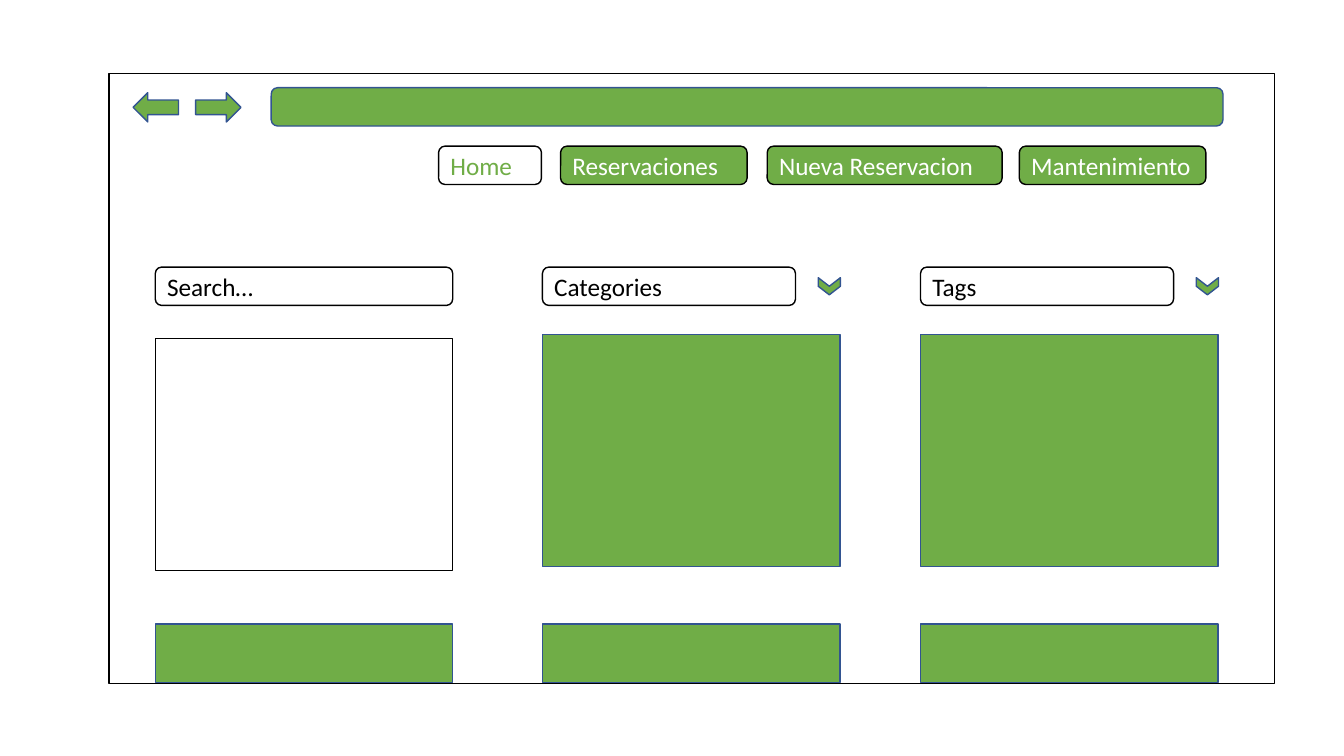
from pptx import Presentation
from pptx.dml.color import RGBColor
from pptx.enum import shapes, text
from pptx.util import Inches, Pt

# Content: label, left, width, active
NAV = [
    ("Reservaciones", 5.56, 1.85, False),
    ("Nueva Reservacion", 7.61, 2.33, False),
    ("Mantenimiento", 10.11, 1.85, False),
    ("Home", 4.35, 1.02, True),
]
# Content: label, field width, has a drop-down chevron
FILTERS = [
    ("Search…", 2.95, False),
    ("Categories", 2.51, True),
    ("Tags", 2.51, True),
]


class Theme:
    green, blue = "70AD47", "325491"
    white, black = "FFFFFF", "000000"
    font, size, line = "Calibri", 18, 1


# Layout
COLUMNS = [1.54, 5.38, 9.13]
CARD_W, CARD_H = 2.95, 2.3
BAR_H = 0.38
SHAPE = shapes.MSO_SHAPE

prs = Presentation()
prs.slide_width, prs.slide_height = Inches(13.33), Inches(7.5)
s = prs.slides.add_slide(prs.slide_layouts[6])


def add_box(kind, x, y, w, h, fill=Theme.green, line=Theme.blue, rotation=0):
    sp = s.shapes.add_shape(kind, Inches(x), Inches(y), Inches(w), Inches(h))
    sp.shadow.inherit = False
    sp.rotation = rotation
    sp.fill.solid()
    sp.fill.fore_color.rgb = RGBColor.from_string(fill)
    sp.line.color.rgb = RGBColor.from_string(line)
    sp.line.width = Pt(Theme.line)
    return sp


def add_field(label, x, y, w, fill, color):
    sp = add_box(SHAPE.ROUNDED_RECTANGLE, x, y, w, BAR_H, fill, Theme.black)
    tf = sp.text_frame
    tf.word_wrap = True
    tf.vertical_anchor = text.MSO_ANCHOR.MIDDLE
    p = tf.paragraphs[0]
    p.text = label
    p.alignment = text.PP_ALIGN.LEFT
    p.font.name, p.font.size = Theme.font, Pt(Theme.size)
    p.font.color.rgb = RGBColor.from_string(color)


# Browser window with arrows and address bar
add_box(SHAPE.RECTANGLE, 1.08, 0.73, 11.56, 6.05, Theme.white, Theme.black)
for x, rotation in [(1.94, 0), (1.32, 180)]:
    add_box(SHAPE.RIGHT_ARROW, x, 0.92, 0.45, 0.29, rotation=rotation)
add_box(SHAPE.ROUNDED_RECTANGLE, 2.69, 0.87, 9.44, BAR_H)

# Cards: the first one is blank and sits slightly lower
add_box(SHAPE.RECTANGLE, COLUMNS[0], 3.36, CARD_W, CARD_H, Theme.white, Theme.black)
for x in COLUMNS[1:]:
    add_box(SHAPE.RECTANGLE, x, 3.32, CARD_W, CARD_H)
for x in COLUMNS:
    add_box(SHAPE.RECTANGLE, x, 6.19, CARD_W, 0.58)

# Search and filter fields
for x, (label, w, dropdown) in zip(COLUMNS, FILTERS):
    add_field(label, x, 2.65, w, Theme.white, Theme.black)
    if dropdown:
        add_box(SHAPE.CHEVRON, x + w + 0.25, 2.73, 0.17, 0.22, rotation=90)

# Navigation buttons
for label, x, w, active in NAV:
    fill, color = (Theme.white, Theme.green) if active else (Theme.green, Theme.white)
    add_field(label, x, 1.45, w, fill, color)

prs.save("out.pptx")
